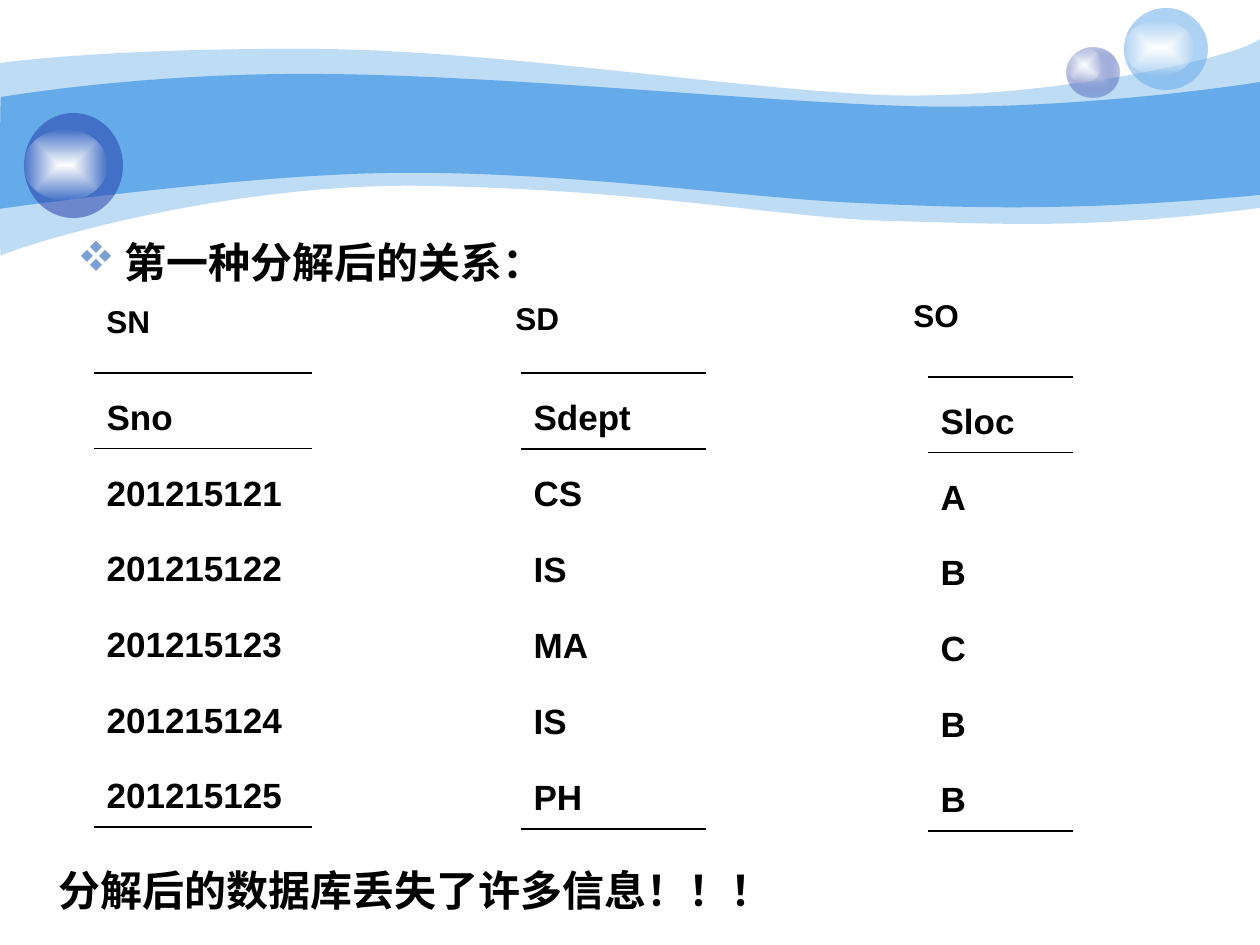
from lxml import etree
from pptx import Presentation, util as u
from pptx.dml.color import RGBColor
from pptx.enum import shapes, text
from pptx.oxml.ns import qn

SCALE = 914400 / 126  # EMU per px
FONT = "Arial"
COLORS = {"sky": "65AAE9", "navy": "233DA9", "lilac": "C7CEE9",
          "white": "FFFFFF", "black": "000000", "bullet": "7DA0D3"}

HEADING = "第一种分解后的关系："
CLOSING = "分解后的数据库丢失了许多信息！！！"
DIAMONDS = "v"  # four diamonds in Wingdings

# caption, caption box, table box, top border in pt, rows
RELATIONS = [
    ("SN", (94, 300, 164, 47), (94, 373, 218, 454), 1.08,
     ["Sno", "201215121", "201215122", "201215123", "201215124", "201215125"]),
    ("SD", (503, 297, 164, 47), (521, 373, 185, 456), 1.47,
     ["Sdept", "CS", "IS", "MA", "IS", "PH"]),
    ("SO", (901, 294, 165, 47), (928, 377, 145, 454), 1.47,
     ["Sloc", "A", "B", "C", "B", "B"]),
]
RULE = 1.08

# opacity in percent, start point, then segments: one point is a line, three a curve
WAVES = [
    (41, (0, 63), [
        [(30, 59), (135, 48), (311, 49)], [(486, 49), (725, 88), (881, 95)],
        [(1036, 101), (1235, 59), (1260, 39)], [(1260, 208)],
        [(1079, 231), (992, 223), (888, 221)], [(784, 218), (649, 190), (432, 186)],
        [(217, 181), (5, 251), (1, 256)], [(-1, 262), (0, 95), (0, 63)]]),
    (100, (1, 97), [
        [(3, 97), (139, 73), (312, 74)], [(486, 74), (750, 101), (905, 106)],
        [(1060, 111), (1230, 87), (1260, 82)], [(1260, 195)],
        [(1075, 212), (964, 208), (859, 203)], [(755, 199), (563, 171), (399, 173)],
        [(256, 173), (-3, 209), (-1, 209)], [(0, 209), (0, 97), (1, 97)]]),
]

# outer box, outer stops from centre to edge (colour, opacity), inner highlight box
BUBBLES = [
    ((1067, 48, 53, 50), [("lilac", 100), ("navy", 31)], (1067, 48, 35, 34)),
    ((1124, 8, 84, 82), [("sky", 53)], (1124, 21, 70, 54)),
    ((24, 113, 99, 105), [("navy", 53)], (24, 130, 83, 70)),
]
HIGHLIGHT = [("white", 100), ("white", 0)]


def emu(*px):
    return [round(v * SCALE) for v in px]


def rgb(name):
    return RGBColor.from_string(COLORS[name])


def sub(parent, tag, **attrs):
    return etree.SubElement(parent, qn(tag), {k: str(v) for k, v in attrs.items()})


def add_color(parent, name, opacity=100):
    clr = sub(parent, "a:srgbClr", val=COLORS[name])
    if opacity < 100:
        sub(clr, "a:alpha", val=opacity * 1000)


def paint(sp, stops):
    """Fill a shape: one stop gives a solid, two a gradient from the centre out."""
    sp.shadow.inherit = False
    sp.line.fill.background()
    if len(stops) == 1:
        name, opacity = stops[0]
        sp.fill.solid()
        sp.fill.fore_color.rgb = rgb(name)
        if opacity < 100:
            clr = sp._element.spPr.find(qn("a:solidFill"))[0]
            sub(clr, "a:alpha", val=opacity * 1000)
        return
    sp.fill.gradient()
    grad = sp._element.spPr.find(qn("a:gradFill"))
    for child in list(grad):
        grad.remove(child)
    gs_list = sub(grad, "a:gsLst")
    for pos, stop in zip((0, 100000), stops):
        add_color(sub(gs_list, "a:gs", pos=pos), *stop)
    rect = sub(grad, "a:path", path="rect")
    sub(rect, "a:fillToRect", l=50000, t=50000, r=50000, b=50000)


def add_wave(slide, start, segments):
    """Build the outline from all its points, then join each three into a curve."""
    fb = slide.shapes.build_freeform(*start, scale=SCALE)
    fb.add_line_segments([pt for seg in segments for pt in seg], close=True)
    sp = fb.convert_to_shape()
    lines = iter(list(sp._element.iter(qn("a:lnTo"))))
    for seg in segments:
        group = [next(lines) for _ in seg]
        if len(group) == 3:
            curve = etree.Element(qn("a:cubicBezTo"))
            group[0].addprevious(curve)
            for line in group:
                curve.append(line[0])
                line.getparent().remove(line)
    return sp


def add_text(slide, box, words, size, spacing, bullet=None):
    tf = slide.shapes.add_textbox(*emu(*box)).text_frame
    tf.word_wrap = True
    tf.vertical_anchor = text.MSO_ANCHOR.TOP
    p = tf.paragraphs[0]
    p.text = words
    if bullet:
        pPr = p._p.get_or_add_pPr()
        pPr.set("marL", "342900")
        pPr.set("indent", "-342900")
        add_color(sub(pPr, "a:buClr"), "bullet")
        sub(pPr, "a:buFont", typeface="Wingdings", pitchFamily=2, charset=2)
        sub(pPr, "a:buChar", char=bullet)
    style(p, size, spacing)


def style(p, size, spacing):
    p.line_spacing = spacing
    p.font.name, p.font.size, p.font.bold = FONT, u.Pt(size), True
    p.font.color.rgb = rgb("black")


def set_borders(cell, top, bottom):
    """Draw the top and bottom rules that have a width and clear all others."""
    tcPr = cell._tc.get_or_add_tcPr()
    sides = (("a:lnL", None), ("a:lnR", None), ("a:lnT", top), ("a:lnB", bottom))
    for i, (tag, width) in enumerate(sides):
        ln = etree.Element(qn(tag), w=str(u.Pt(width or 0)))
        if width:
            add_color(sub(ln, "a:solidFill"), "black")
        else:
            sub(ln, "a:noFill")
        tcPr.insert(i, ln)


def add_relation(slide, box, top_rule, values):
    n = len(values)
    table = slide.shapes.add_table(n, 1, *emu(*box)).table
    table.first_row = table.horz_banding = False
    rules = [top_rule, RULE] + [None] * (n - 2) + [RULE]
    for i, value in enumerate(values):
        table.rows[i].height = emu(box[3] / n)[0]
        cell = table.cell(i, 0)
        cell.fill.background()
        cell.text = value
        style(cell.text_frame.paragraphs[0], 20, 1.5)
        set_borders(cell, rules[i], rules[i + 1])


def main():
    prs = Presentation()
    prs.slide_width, prs.slide_height = emu(1260, 945)
    slide = prs.slides.add_slide(prs.slide_layouts[6])

    for opacity, start, segments in WAVES:
        paint(add_wave(slide, start, segments), [("sky", opacity)])

    for outer, stops, inner in BUBBLES:
        for box, fill in ((outer, stops), (inner, HIGHLIGHT)):
            paint(slide.shapes.add_shape(shapes.MSO_SHAPE.OVAL, *emu(*box)), fill)

    add_text(slide, (65, 205, 557, 100), HEADING, 24, 1.5, bullet=DIAMONDS)
    for caption, caption_box, table_box, top_rule, values in RELATIONS:
        add_relation(slide, table_box, top_rule, values)
        add_text(slide, caption_box, caption, 18, 0.9)
    add_text(slide, (46, 864, 833, 58), CLOSING, 24, 0.9)

    prs.save("out.pptx")


if __name__ == "__main__":
    main()
